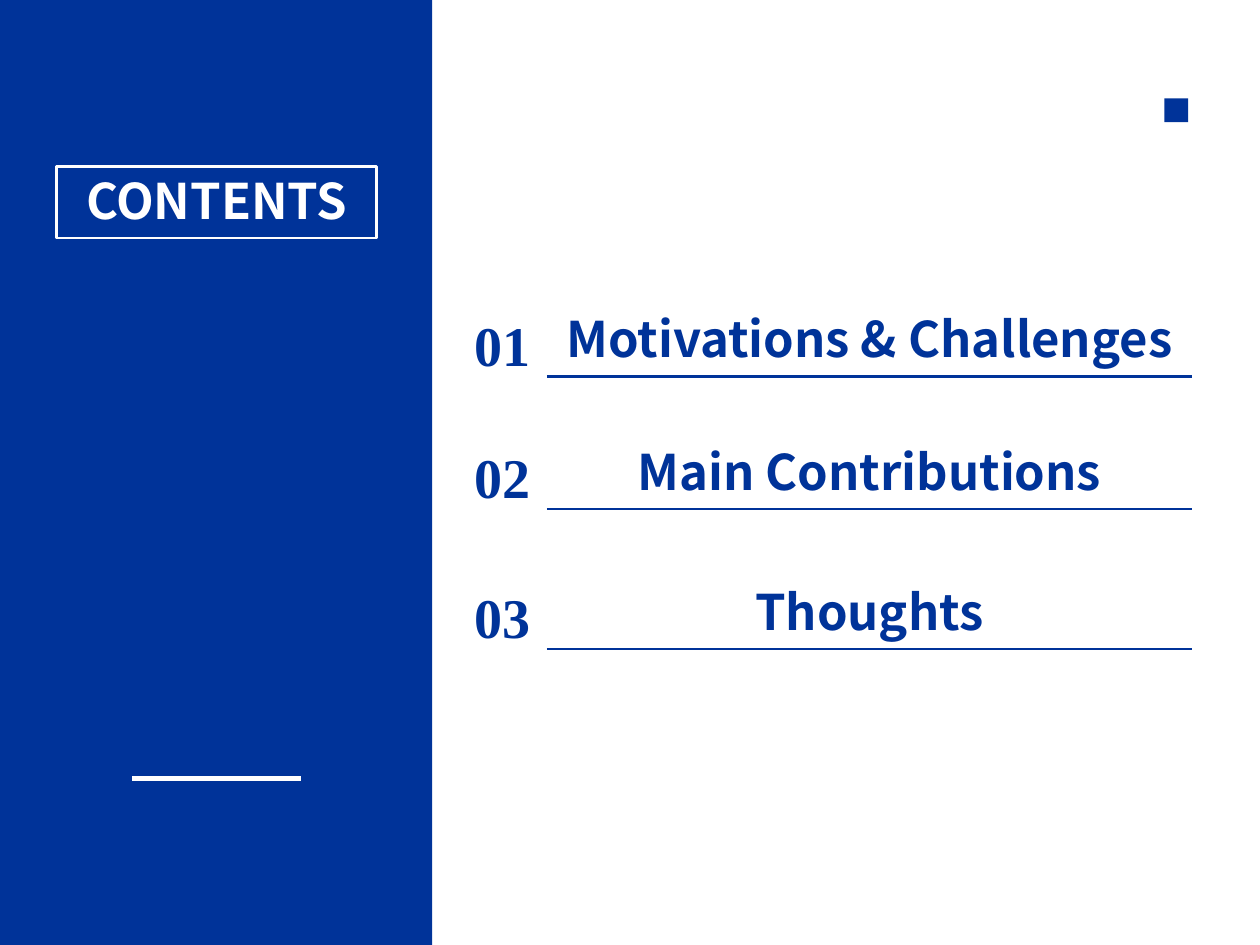
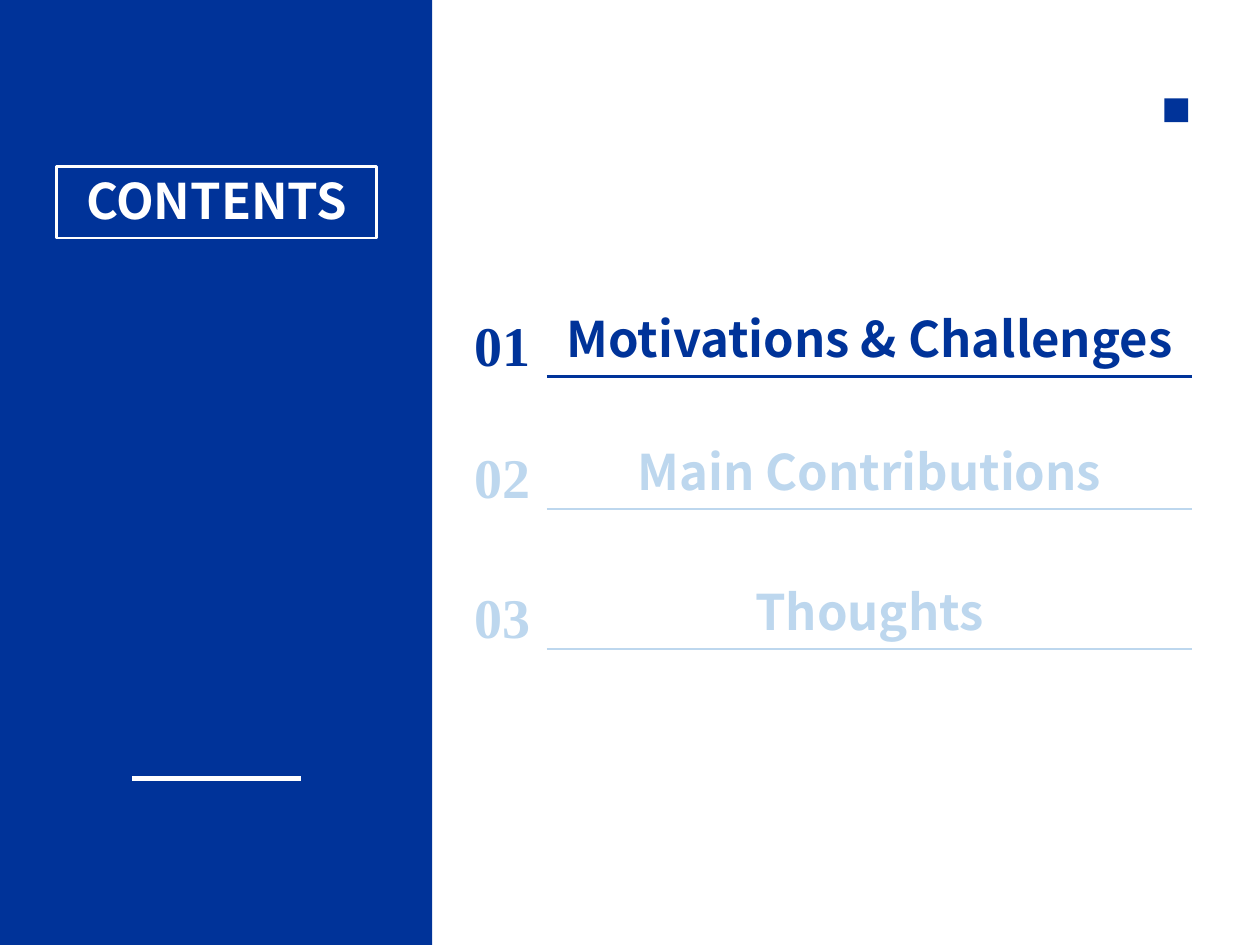
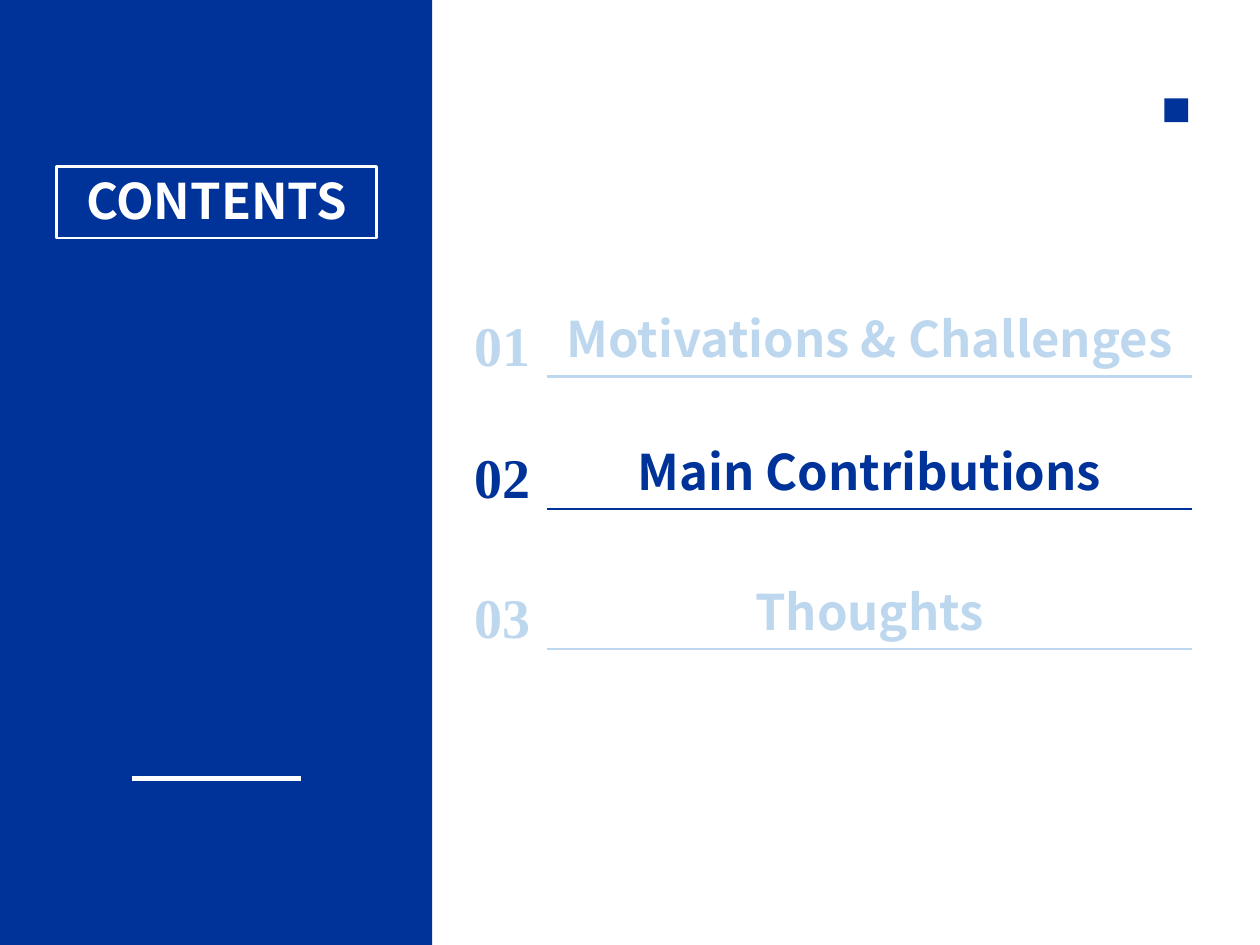
from lxml.etree import SubElement
from pptx import Presentation
from pptx.dml.color import RGBColor
from pptx.enum.shapes import MSO_CONNECTOR, MSO_SHAPE
from pptx.enum.text import MSO_ANCHOR, PP_ALIGN
from pptx.oxml.ns import qn
from pptx.util import Inches, Pt

C = {"blue": "003399", "pale": "BDD7EE", "white": "FFFFFF"}
SANS, SERIF = "Noto Sans CJK SC", "Times New Roman"

prs = Presentation()
prs.slide_width, prs.slide_height = Inches(10), Inches(7.5)

# Grid of 100 columns by 75 rows
COL, ROW = prs.slide_width / 100, prs.slide_height / 75


def put_text(shape, text, size=28, font=SANS, color="blue", anchor=MSO_ANCHOR.MIDDLE):
    tf = shape.text_frame
    tf.word_wrap = True
    tf.vertical_anchor = anchor
    tf.margin_top, tf.margin_bottom = 0, int(0.3 * ROW)
    p = tf.paragraphs[0]
    p.alignment = PP_ALIGN.CENTER
    r = p.add_run()
    r.text = text
    r.font.size, r.font.name, r.font.bold = Pt(size), font, True
    r.font.color.rgb = RGBColor.from_string(C[color])


def rule(shapes, left, right, row, color, width):
    y = int(row * ROW)
    ln = shapes.add_connector(MSO_CONNECTOR.STRAIGHT, int(left * COL), y, int(right * COL), y)
    ln.line.color.rgb = RGBColor.from_string(C[color])
    ln.line.width = Pt(width)
    SubElement(ln._element.spPr, qn("a:effectLst"))


# Each section: title and the row of its rule
sections = [("Motivations & Challenges", 29.9), ("Main Contributions", 40.4), ("Thoughts", 51.5)]
# left, top, width, height, fill
blocks = [(0, 0, 34.3, 75, "blue"), (4.5, 13.2, 25.4, 5.7, None), (92.4, 7.8, 1.9, 1.9, "blue")]

# One slide per highlighted section; None highlights all
for active in (None, 0, 1):
    s = prs.slides.add_slide(prs.slide_layouts[6])

    # Side panel, heading frame and corner square
    for left, top, width, height, fill in blocks:
        sp = s.shapes.add_shape(MSO_SHAPE.RECTANGLE, int(left * COL), int(top * ROW),
                                int(width * COL), int(height * ROW))
        sp.shadow.inherit = False
        if fill:
            sp.fill.solid()
            sp.fill.fore_color.rgb = RGBColor.from_string(C[fill])
            sp.line.fill.background()
        else:
            sp.fill.background()
            sp.line.color.rgb = RGBColor.from_string(C["white"])
            sp.line.width = Pt(1.5)
            put_text(sp, "CONTENTS", color="white")
    rule(s.shapes, 10.5, 23.9, 61.8, "white", 3)

    # Numbered sections
    for i, (title, row) in enumerate(sections):
        color = "blue" if active in (None, i) else "pale"
        grp = s.shapes.add_group_shape().shapes
        box = grp.add_textbox(int(42 * COL), int((row - 5.75) * ROW), int(54 * COL), int(5.7 * ROW))
        put_text(box, title, color=color)
        box = grp.add_textbox(int(36.3 * COL), int((row - 6.05) * ROW), int(7.1 * COL), int(6.4 * ROW))
        put_text(box, f"{i + 1:02}", size=32, font=SERIF, color=color, anchor=MSO_ANCHOR.BOTTOM)
        rule(grp, 43.4, 94.6, row, color, 1.5)

prs.save("out.pptx")
